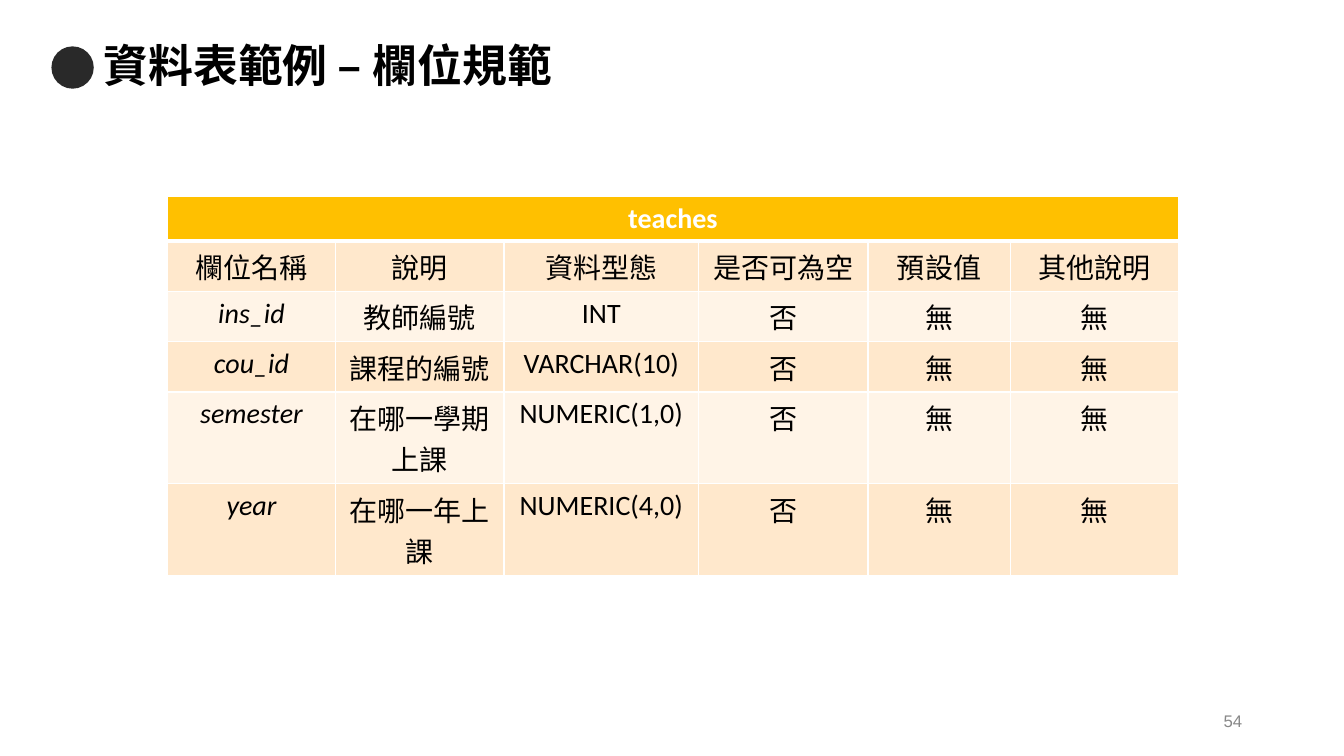
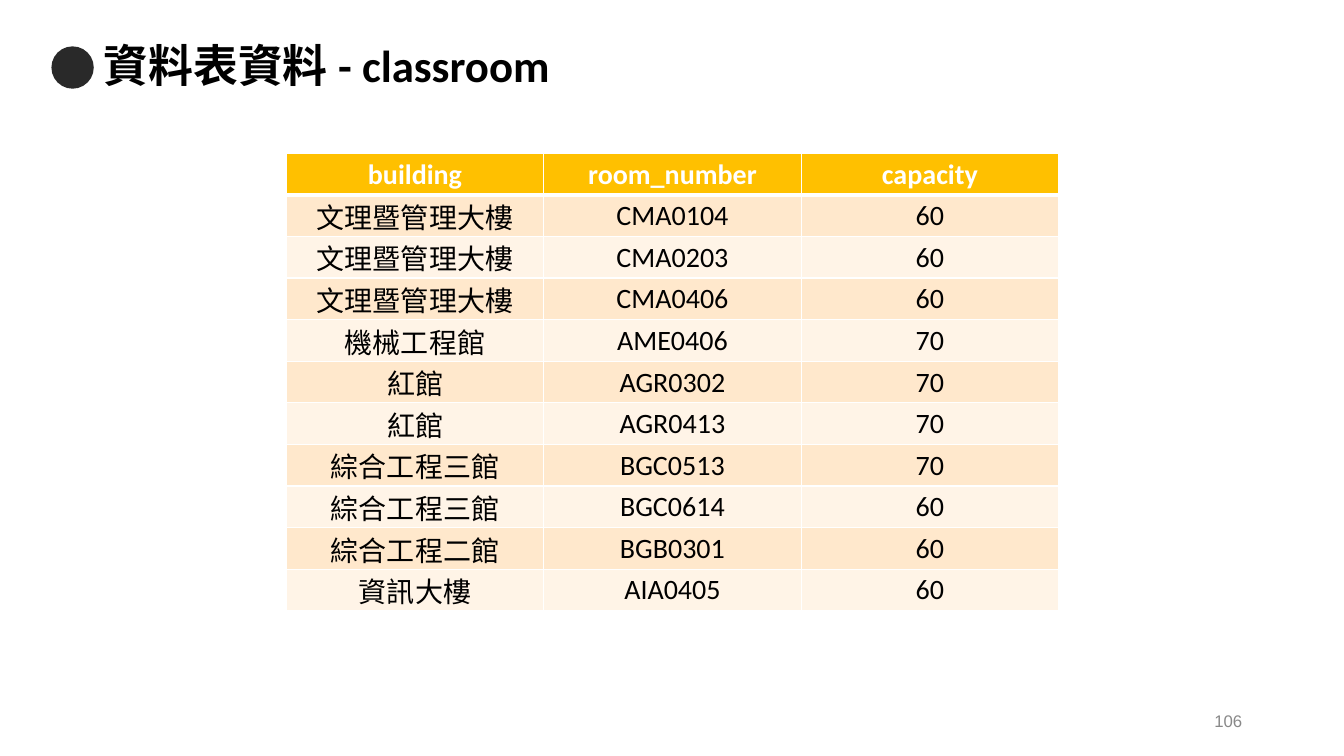
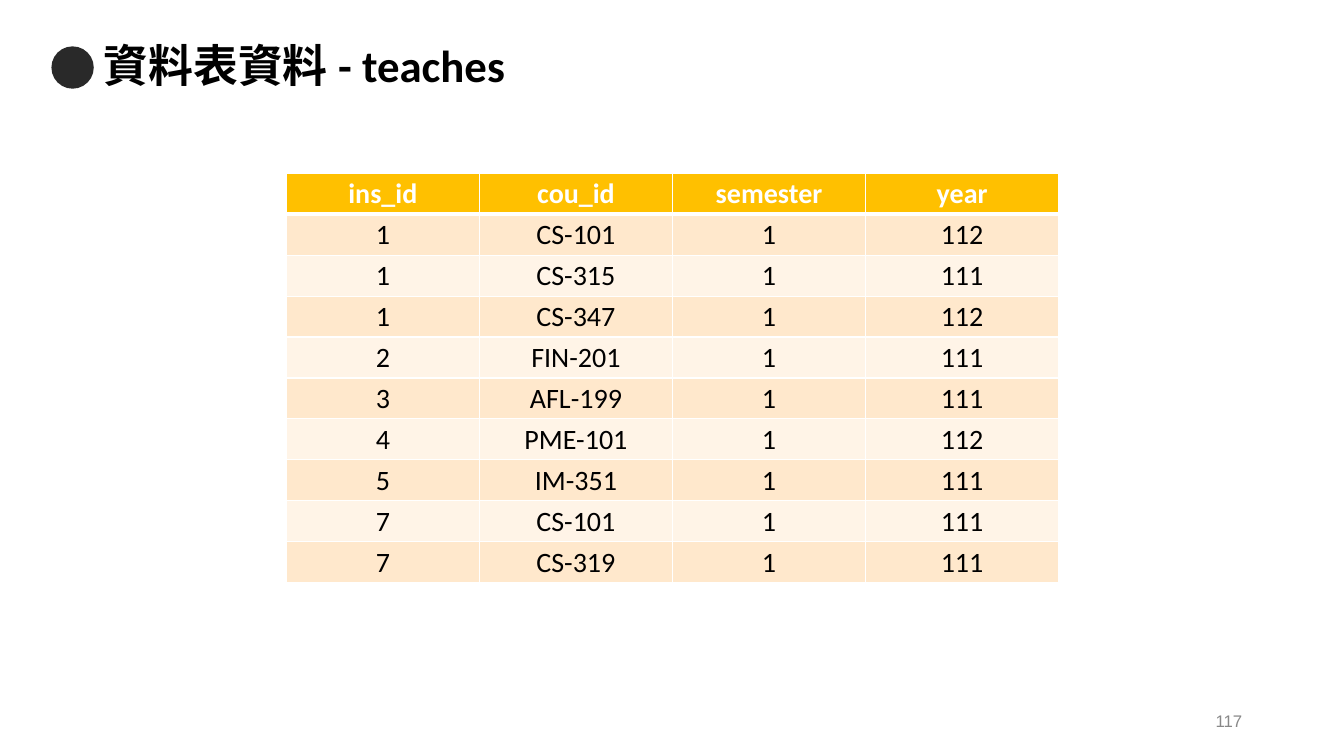
import dataclasses

import lxml.etree
import pptx
import pptx.dml.color
import pptx.enum.shapes
import pptx.enum.text
import pptx.oxml.ns
import pptx.util

WIDTH, HEIGHT = 13.33, 7.5
DATA_LEFT, DATA_WIDTH = 2.84, 7.66
COLORS = {
    "dot": "292929",
    "text": "000000",
    "number": "888888",
    "header": "FFC000",
    "odd": "FFE8CC",
    "even": "FFF4E7",
    "white": "FFFFFF",
}
ALIGN = pptx.enum.text.PP_ALIGN
MIDDLE = pptx.enum.text.MSO_ANCHOR.MIDDLE


@dataclasses.dataclass(frozen=True)
class TextStyle:
    size: int
    color: str
    font: str = "Calibri"
    bold: bool = False
    italic: bool = False


@dataclasses.dataclass(frozen=True)
class TableSlide:
    title: str
    number: int
    left: float
    top: float
    columns: list[float]
    heights: list[float]
    rows: list[list[str]]
    compact: bool = True  # thin cell margins, text in the middle
    italic_keys: bool = False


TITLE = TextStyle(32, "text", bold=True)
NUMBER = TextStyle(12, "number", font="Arial")
HEADER = TextStyle(20, "white", bold=True)
BODY = TextStyle(20, "text")
KEY = TextStyle(20, "text", italic=True)


def rgb(name: str) -> pptx.dml.color.RGBColor:
    return pptx.dml.color.RGBColor.from_string(COLORS[name])


def split_evenly(total: float, count: int) -> list[float]:
    return [total / count] * count


def add_run(paragraph, text: str, style: TextStyle) -> None:
    run = paragraph.add_run()
    run.text = text
    run.font.size = pptx.util.Pt(style.size)
    run.font.name = style.font
    run.font.bold = style.bold
    run.font.italic = style.italic
    run.font.color.rgb = rgb(style.color)
    run.font._element.set("lang", "zh-TW")


def add_text_box(slide, left: float, top: float, width: float, height: float):
    box = slide.shapes.add_textbox(*map(pptx.util.Inches, (left, top, width, height)))
    box.text_frame.word_wrap = True
    box.text_frame.vertical_anchor = MIDDLE
    return box.text_frame.paragraphs[0]


def add_frame(slide, content: TableSlide) -> None:
    # Dot before the title
    dot = slide.shapes.add_shape(
        pptx.enum.shapes.MSO_SHAPE.OVAL,
        *map(pptx.util.Inches, (0.51, 0.46, 0.42, 0.42)),
    )
    dot.shadow.inherit = False
    dot.fill.solid()
    dot.fill.fore_color.rgb = rgb("dot")
    dot.line.fill.background()

    # Title
    title = add_text_box(slide, 0.93, 0.35, 11.49, 0.64)
    title.line_spacing = 0.9
    add_run(title, content.title, TITLE)

    # Slide number
    number = add_text_box(slide, 9.42, 6.95, 3, 0.4)
    number.alignment = ALIGN.RIGHT
    add_run(number, str(content.number), NUMBER)


def set_borders(cell, top: int, bottom: int) -> None:
    properties = cell._tc.get_or_add_tcPr()
    for side, points in (("L", 1), ("R", 1), ("T", top), ("B", bottom)):
        line = lxml.etree.SubElement(properties, pptx.oxml.ns.qn(f"a:ln{side}"))
        line.set("w", str(pptx.util.Pt(points)))
        fill = lxml.etree.SubElement(line, pptx.oxml.ns.qn("a:solidFill"))
        color = lxml.etree.SubElement(fill, pptx.oxml.ns.qn("a:srgbClr"))
        color.set("val", COLORS["white"])


def add_data_table(slide, content: TableSlide) -> None:
    column_count = len(content.columns)
    area = (content.left, content.top, sum(content.columns), sum(content.heights))
    table = slide.shapes.add_table(
        len(content.rows), column_count, *map(pptx.util.Inches, area)
    ).table
    for column, column_width in zip(table.columns, content.columns):
        column.width = pptx.util.Inches(column_width)

    for row, values in enumerate(content.rows):
        table.rows[row].height = pptx.util.Inches(content.heights[row])
        band = "header" if row == 0 else "odd" if row % 2 else "even"
        for column in range(column_count):
            cell = table.cell(row, column)
            set_borders(cell, 3 if row == 1 else 1, 3 if row == 0 else 1)
            cell.fill.solid()
            cell.fill.fore_color.rgb = rgb(band)
            if content.compact:
                cell.vertical_anchor = MIDDLE
                cell.margin_left = cell.margin_right = pptx.util.Inches(0.01)
                cell.margin_top = pptx.util.Inches(0.01)
                cell.margin_bottom = 0
        for column, value in enumerate(values):
            is_key = content.italic_keys and row > 1 and column == 0
            style = HEADER if row == 0 else KEY if is_key else BODY
            paragraph = table.cell(row, column).text_frame.paragraphs[0]
            paragraph.alignment = ALIGN.CENTER
            add_run(paragraph, value, style)
        # A lone value spans the whole row
        if len(values) == 1:
            table.cell(row, 0).merge(table.cell(row, column_count - 1))


SLIDES = [
    TableSlide(
        "資料表範例 – 欄位規範", 54, 1.66, 1.95,
        [1.67, 1.67, 1.93, 1.68, 1.41, 1.67],
        # One-line rows, then two rows with wrapped descriptions
        [0.44] + [0.5] * 3 + [0.91] * 2,
        [
            ["teaches"],
            ["欄位名稱", "說明", "資料型態", "是否可為空", "預設值", "其他說明"],
            ["ins_id", "教師編號", "INT", "否", "無", "無"],
            ["cou_id", "課程的編號", "VARCHAR(10)", "否", "無", "無"],
            ["semester", "在哪一學期上課", "NUMERIC(1,0)", "否", "無", "無"],
            ["year", "在哪一年上課", "NUMERIC(4,0)", "否", "無", "無"],
        ],
        compact=False,
        italic_keys=True,
    ),
    TableSlide(
        "資料表資料 - classroom", 106, DATA_LEFT, 1.52,
        split_evenly(DATA_WIDTH, 3),
        split_evenly(4.54, 11),
        [
            ["building", "room_number", "capacity"],
            ["文理暨管理大樓", "CMA0104", "60"],
            ["文理暨管理大樓", "CMA0203", "60"],
            ["文理暨管理大樓", "CMA0406", "60"],
            ["機械工程館", "AME0406", "70"],
            ["紅館", "AGR0302", "70"],
            ["紅館", "AGR0413", "70"],
            ["綜合工程三館", "BGC0513", "70"],
            ["綜合工程三館", "BGC0614", "60"],
            ["綜合工程二館", "BGB0301", "60"],
            ["資訊大樓", "AIA0405", "60"],
        ],
    ),
    TableSlide(
        "資料表資料 - teaches", 117, DATA_LEFT, 1.72,
        split_evenly(DATA_WIDTH, 4),
        split_evenly(4.06, 10),
        [
            ["ins_id", "cou_id", "semester", "year"],
            ["1", "CS-101", "1", "112"],
            ["1", "CS-315", "1", "111"],
            ["1", "CS-347", "1", "112"],
            ["2", "FIN-201", "1", "111"],
            ["3", "AFL-199", "1", "111"],
            ["4", "PME-101", "1", "112"],
            ["5", "IM-351", "1", "111"],
            ["7", "CS-101", "1", "111"],
            ["7", "CS-319", "1", "111"],
        ],
    ),
]


def main() -> None:
    deck = pptx.Presentation()
    deck.slide_width = pptx.util.Inches(WIDTH)
    deck.slide_height = pptx.util.Inches(HEIGHT)
    for content in SLIDES:
        slide = deck.slides.add_slide(deck.slide_layouts[6])
        add_frame(slide, content)
        add_data_table(slide, content)
    deck.save("out.pptx")


if __name__ == "__main__":
    main()
